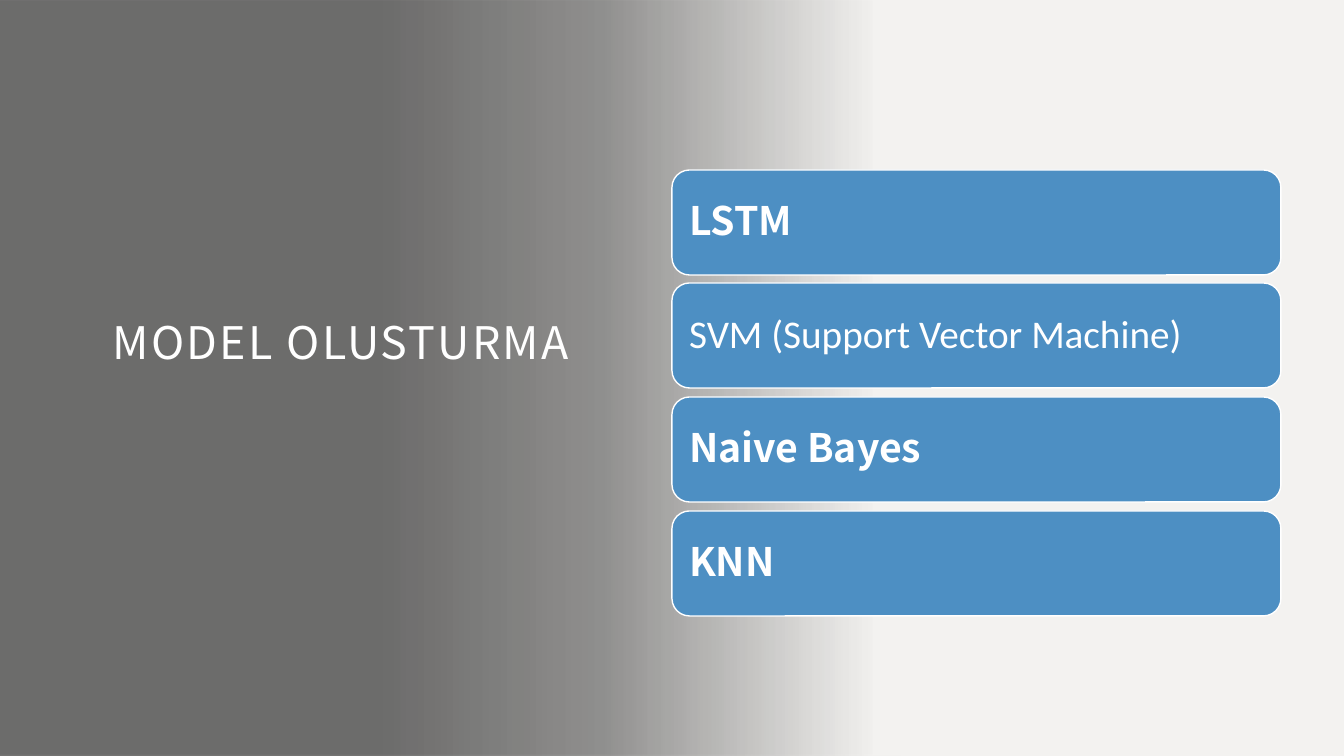
from lxml.etree import SubElement
from pptx import Presentation
from pptx.dml.color import RGBColor
from pptx.enum.shapes import MSO_SHAPE as Shape
from pptx.enum.text import MSO_ANCHOR as Anchor, PP_ALIGN as Align
from pptx.oxml.ns import qn
from pptx.util import Pt

EMU_PER_PX = 914400 / 100.8
WIDTH, HEIGHT = 1344, 756
HEADING_FONT = "Noto Sans CJK JP"
CARD_TOP, LAST_CARD_TOP, CARD_HEIGHT = 170, 511, 105
MODELS = [
    ("LSTM", HEADING_FONT, True),
    ("SVM (Support Vector Machine)", "Calibri", False),
    ("Naive Bayes", HEADING_FONT, True),
    ("KNN", HEADING_FONT, True),
]
SHADE_STOPS = [(3, 0), (33, 40), (58, 55), (100, 55)]


def px(length):
    return round(length * EMU_PER_PX)


def color(value):
    return RGBColor.from_string(value)


def write(frame, text, size, font, bold=False, spacing=1.0, align=Align.LEFT):
    frame.word_wrap = True
    frame.text = text
    para = frame.paragraphs[0]
    para.alignment = align
    para.line_spacing = spacing
    span = para.runs[0]
    span.font.size = Pt(size)
    span.font.name = font
    span.font.bold = bold
    span.font.color.rgb = color("FFFFFF")
    properties = span.font._element
    SubElement(properties, qn("a:ea"), typeface=font)
    return span


def set_insets(frame, side, top):
    frame.margin_left = frame.margin_right = px(side)
    frame.margin_top = frame.margin_bottom = px(top)


def add_shade(page, width):
    shade = page.shapes.add_shape(Shape.RECTANGLE, 0, 0, px(width), px(HEIGHT))
    shade.shadow.inherit = False
    shade.line.fill.background()
    shade.fill.gradient()
    shade.fill.gradient_angle = 180
    stops = shade._element.spPr.find(".//" + qn("a:gsLst"))
    for stop in list(stops):
        stops.remove(stop)
    for position, opacity in SHADE_STOPS:
        stop = SubElement(stops, qn("a:gs"), pos=str(position * 1000))
        black = SubElement(stop, qn("a:srgbClr"), val="000000")
        SubElement(black, qn("a:alpha"), val=str(opacity * 1000))


def add_title(page, text):
    box = page.shapes.add_textbox(px(10), px(289), px(662), px(371))
    set_insets(box.text_frame, 12, 12)
    span = write(box.text_frame, text, 32, HEADING_FONT,
                 spacing=1.25, align=Align.CENTER)
    span.font._element.set("spc", "150")


def add_card(page, top, text, font, bold):
    card = page.shapes.add_shape(
        Shape.ROUNDED_RECTANGLE, px(672), px(top), px(609), px(CARD_HEIGHT))
    card.shadow.inherit = False
    card.fill.solid()
    card.fill.fore_color.rgb = color("4D8FC3")
    card.line.color.rgb = color("FFFFFF")
    card.line.width = Pt(1)
    frame = card.text_frame
    frame.vertical_anchor = Anchor.MIDDLE
    set_insets(frame, 12, 12)
    write(frame, text, 28, font, bold, spacing=0.9)


def main():
    deck = Presentation()
    deck.slide_width, deck.slide_height = px(WIDTH), px(HEIGHT)
    page = deck.slides.add_slide(deck.slide_layouts[6])
    page.background.fill.solid()
    page.background.fill.fore_color.rgb = color("F3F2F0")
    add_shade(page, 900)
    add_title(page, "MODEL OLUSTURMA")
    card_span = LAST_CARD_TOP - CARD_TOP
    for index, model in enumerate(MODELS):
        top = CARD_TOP + card_span * index // (len(MODELS) - 1)
        add_card(page, top, *model)
    deck.save("out.pptx")


if __name__ == "__main__":
    main()
